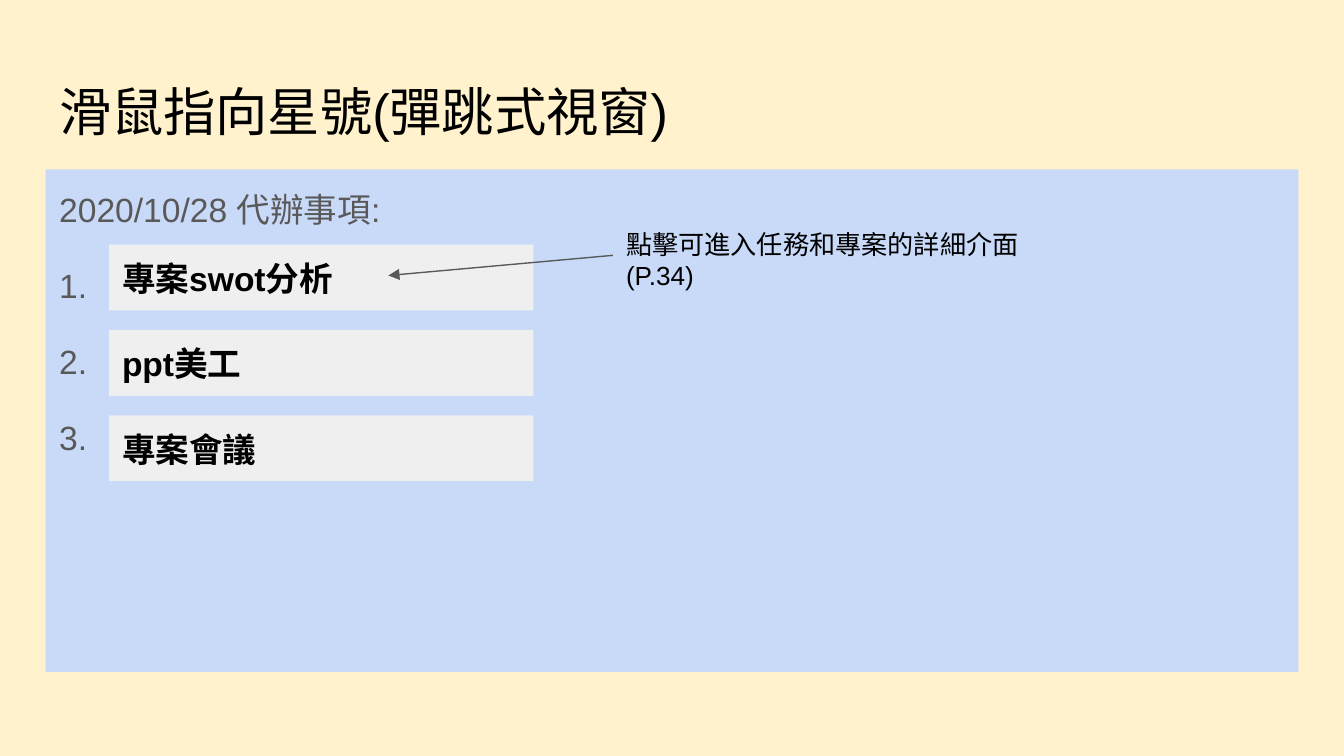
from pptx import Presentation
from pptx import util as u
from pptx.dml.color import RGBColor
from pptx.enum import shapes, text
from pptx.oxml.ns import qn
from lxml import etree

# Content
TITLE = "滑鼠指向星號(彈跳式視窗)"
HEADING = "2020/10/28 代辦事項:"
TASKS = ["專案swot分析", "ppt美工", "專案會議"]
CALLOUT = "點擊可進入任務和專案的詳細介面(P.34)"

# Colours
CREAM = RGBColor(0xFF, 0xF2, 0xCC)
PALE_BLUE = RGBColor(0xC9, 0xDA, 0xF8)
LIGHT_GREY = RGBColor(0xEF, 0xEF, 0xEF)
DARK_GREY = RGBColor(0x59, 0x59, 0x59)
BLACK = RGBColor(0, 0, 0)

# Layout in inches, on a 16:9 page
WIDTH = 10
HEIGHT = WIDTH * 9 / 16
MARGIN = 0.34
CONTENT_WIDTH = WIDTH - 2 * MARGIN
TASK_LEFT, FIRST_TASK_TOP, LAST_TASK_TOP = 0.81, 1.82, 3.09
TASK_STEP = (LAST_TASK_TOP - FIRST_TASK_TOP) / (len(TASKS) - 1)
TASK_WIDTH, TASK_HEIGHT = 3.16, 0.49
CALLOUT_LEFT = 4.56


def place(box, left, top, width, height):
    box.left, box.top = u.Inches(left), u.Inches(top)
    box.width, box.height = u.Inches(width), u.Inches(height)


def write(box, lines, size, color, bold=False):
    """Fill a box with one left-aligned paragraph per line."""
    frame = box.text_frame
    frame.word_wrap = True
    frame.auto_size = text.MSO_AUTO_SIZE.NONE
    frame.vertical_anchor = text.MSO_ANCHOR.TOP
    frame.margin_left = frame.margin_right = u.Inches(0.1)
    frame.margin_top = frame.margin_bottom = u.Inches(0.1)
    for index, line in enumerate(lines):
        para = frame.add_paragraph() if index else frame.paragraphs[0]
        para.alignment = text.PP_ALIGN.LEFT
        para.line_spacing = 1.0
        para.space_before = para.space_after = u.Pt(0)
        span = para.add_run()
        span.text = line
        span.font.name = "Arial"
        span.font.size = u.Pt(size)
        span.font.bold = bold
        span.font.color.rgb = color
    return frame.paragraphs


def fill(box, color):
    box.fill.solid()
    box.fill.fore_color.rgb = color
    box.line.fill.background()


deck = Presentation()
deck.slide_width, deck.slide_height = u.Inches(WIDTH), u.Inches(HEIGHT)
page = deck.slides.add_slide(deck.slide_layouts[1])
page.background.fill.solid()
page.background.fill.fore_color.rgb = CREAM

# Title
title = page.shapes.title
place(title, MARGIN, 0.49, CONTENT_WIDTH, 0.63)
write(title, [TITLE], 28, BLACK)

# Panel with the heading and task numbers
panel = page.placeholders[1]
place(panel, MARGIN, 1.26, CONTENT_WIDTH, 3.74)
fill(panel, PALE_BLUE)
numbers = [f"{number}." for number in range(1, len(TASKS) + 1)]
paras = write(panel, [HEADING] + numbers, 18, DARK_GREY)
for index, para in enumerate(paras):
    para.line_spacing = 1.15
    para.space_before = u.Pt(16 if index else 0)
    properties = para._p.get_or_add_pPr()
    properties.set("marL", "0")
    properties.set("indent", "0")
    etree.SubElement(properties, qn("a:buNone"))
paras[-1].space_after = u.Pt(16)

# Task boxes
for row, task in enumerate(TASKS):
    box = page.shapes.add_shape(shapes.MSO_SHAPE.RECTANGLE, 0, 0, 0, 0)
    place(box, TASK_LEFT, FIRST_TASK_TOP + row * TASK_STEP, TASK_WIDTH, TASK_HEIGHT)
    box.shadow.inherit = False
    fill(box, LIGHT_GREY)
    write(box, [task], 18, BLACK, bold=True)

# Arrow from the callout to the first task
arrow = page.shapes.add_connector(
    shapes.MSO_CONNECTOR.STRAIGHT,
    u.Inches(CALLOUT_LEFT), u.Inches(1.9), u.Inches(2.89), u.Inches(2.05))
arrow.line.color.rgb = DARK_GREY
arrow.line.width = u.Pt(0.75)
etree.SubElement(arrow.line._get_or_add_ln(), qn("a:tailEnd"), type="triangle")
etree.SubElement(arrow._element.spPr, qn("a:effectLst"))

# Callout
callout = page.shapes.add_textbox(0, 0, 0, 0)
place(callout, CALLOUT_LEFT, 1.6, 3.53, 0.51)
write(callout, [CALLOUT], 14, BLACK)

deck.save("out.pptx")
